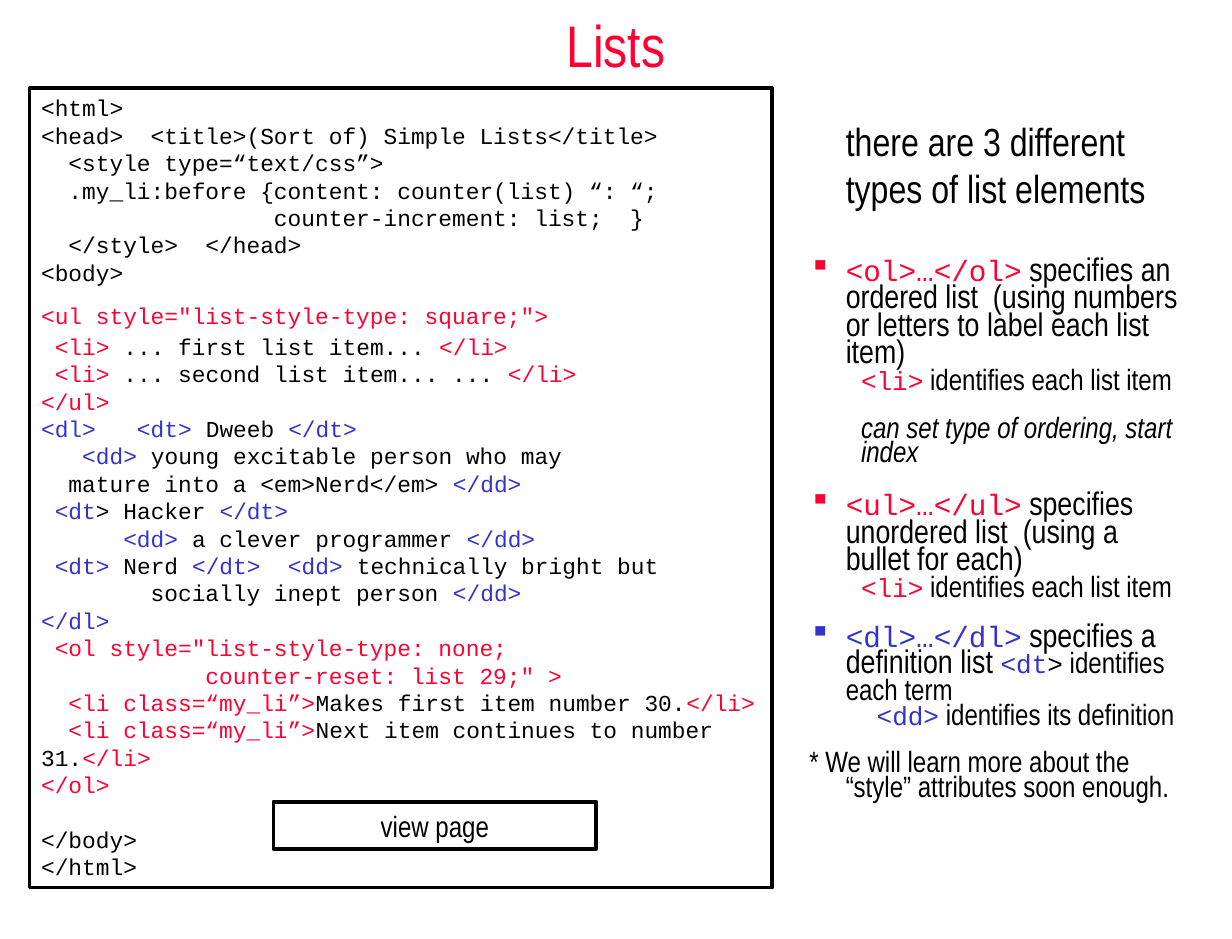
import dataclasses

import pptx
import pptx.dml.color
import pptx.enum.shapes
import pptx.enum.text
import pptx.oxml.ns
import pptx.util
from lxml import etree

Cm, Pt = pptx.util.Cm, pptx.util.Pt
RGB = pptx.dml.color.RGBColor.from_string
ALIGN = pptx.enum.text.PP_ALIGN
ANCHOR = pptx.enum.text.MSO_ANCHOR


@dataclasses.dataclass
class Theme:
    black: str = "000000"
    red: str = "FF0033"
    blue: str = "3333CC"
    sans: str = "Arial Narrow"
    mono: str = "Courier New"
    title: int = 36
    lead: int = 24
    item: int = 20
    sub: int = 18
    tag: int = 16
    code: int = 14
    border: float = 2.25


T = Theme()
K, R, B = T.black, T.red, T.blue


def add_box(left, top, width, height, border=False):
    """Add a rectangle with a black border, or a plain text box."""
    if border:
        sp = s.shapes.add_shape(pptx.enum.shapes.MSO_SHAPE.RECTANGLE,
                                Cm(left), Cm(top), Cm(width), Cm(height))
        sp.shadow.inherit = False
        sp.fill.background()
        sp.line.color.rgb = RGB(T.black)
        sp.line.width = Pt(T.border)
    else:
        sp = s.shapes.add_textbox(Cm(left), Cm(top), Cm(width), Cm(height))
    sp.text_frame.word_wrap = True
    sp.text_frame.vertical_anchor = ANCHOR.TOP
    return sp.text_frame


def add_run(p, text, size, font, color, italic=False):
    r = p.add_run()
    r.text = text
    r.font.size = Pt(size)
    r.font.name = font
    r.font.color.rgb = RGB(color)
    r.font.italic = italic


prs = pptx.Presentation()
prs.slide_width, prs.slide_height = Cm(26.67), Cm(20.32)
s = prs.slides.add_slide(prs.slide_layouts[6])

# Title
tf = add_box(0, 0, 26.67, 1.9)
tf.vertical_anchor = ANCHOR.MIDDLE
p = tf.paragraphs[0]
p.alignment = ALIGN.CENTER
add_run(p, "Lists", T.title, T.sans, R)

# Explanation: space before, line pitch, left margin, first-line indent, bullet colour, runs
lead, item, sub, tag = (T.lead, T.sans), (T.item, T.sans), (T.sub, T.sans), (T.tag, T.mono)
head = (T.sub, T.mono)
li_note = (1.3, 15.1, 1.45, 0, None,
           [("<li>", *tag, R), (" identifies each list item", *sub, K)])
notes = [
    (0, 28.8, 1.12, 0, None, [("there are 3 different types of list elements", *lead, K)]),
    (30, 16.8, 1.12, -0.79, R, [
        ("<ol>…</ol>", *head, R),
        (" specifies an ordered list  (using numbers or letters to label each list item)",
         *item, K)]),
    li_note,
    (14, 15.1, 1.45, 0, None, [("can set type of ordering, start index", *sub, K, True)]),
    (16, 16.8, 1.12, -0.79, R, [
        ("<ul>…</ul>", *head, R),
        (" specifies unordered list  (using a bullet for each)", *item, K)]),
    li_note,
    (15, 16, 1.12, -0.79, B, [
        ("<dl>…</dl>", *head, B), (" specifies a definition list ", *item, K),
        ("<dt", *tag, B), (">", *tag, K), (" identifies each term", *sub, K)]),
    (0, 15.1, 1.79, 0, None, [("<dd>", *tag, B), (" identifies its definition", *sub, K)]),
    (14, 15.1, 1.12, -0.79, None,
     [("* We will learn more about the “style” attributes soon enough.", *sub, K)]),
]
tf = add_box(16.94, 2.42, 8.89, 15.8)
for i, (before, pitch, margin, indent, bullet, runs) in enumerate(notes):
    p = tf.add_paragraph() if i else tf.paragraphs[0]
    p.space_before, p.line_spacing = Pt(before), Pt(pitch)
    pPr = p._p.get_or_add_pPr()
    pPr.set("marL", str(Cm(margin)))
    pPr.set("indent", str(Cm(indent)))
    if bullet:
        clr = etree.SubElement(pPr, pptx.oxml.ns.qn("a:buClr"))
        etree.SubElement(clr, pptx.oxml.ns.qn("a:srgbClr"), val=bullet)
        etree.SubElement(pPr, pptx.oxml.ns.qn("a:buChar"), char="▪")
    for run in runs:
        add_run(p, *run)

# Code listing: one list of (colour, text) runs per line
code = [
    [(K, "<html>")],
    [(K, "<head>  <title>(Sort of) Simple Lists</title>")],
    [(K, "  <style type=“text/css”>")],
    [(K, "  .my_li:before {content: counter(list) “: “;")],
    [(K, "                 counter-increment: list;  }")],
    [(K, "  </style>  </head>")],
    [(K, "<body>")],
    [(R, '<ul style="list-style-type: square;">')],
    [(R, " <li>"), (K, " ... first list item... "), (R, "</li>")],
    [(R, " <li>"), (K, " ... second list item... ... "), (R, "</li>")],
    [(R, "</ul>")],
    [(B, "<dl>   <dt>"), (K, " Dweeb "), (B, "</dt>")],
    [(B, "   <dd>"), (K, " young excitable person who may")],
    [(K, "  mature into a <em>Nerd</em> "), (B, "</dd>")],
    [(B, " <dt"), (K, "> Hacker "), (B, "</dt>")],
    [(B, "      <dd>"), (K, " a clever programmer "), (B, "</dd>")],
    [(B, " <dt>"), (K, " Nerd "), (B, "</dt>  <dd>"), (K, " technically bright but")],
    [(K, "        socially inept person "), (B, "</dd>")],
    [(B, "</dl>")],
    [(R, ' <ol style="list-style-type: none;')],
    [(R, '            counter-reset: list 29;" >')],
    [(R, "  <li class=“my_li”>"), (K, "Makes first item number 30."), (R, "</li>")],
    [(R, "  <li class=“my_li”>"), (K, "Next item continues to number 31."), (R, "</li>")],
    [(R, "</ol>")],
    [(K, "</body>")],
    [(K, "</html>")],
]
gaps = {"<ul style": 9.6, " <li> ... first": 2.2, "</body>": 16.8}
tf = add_box(0.64, 1.91, 16.08, 17.3, border=True)
for i, line in enumerate(code):
    p = tf.add_paragraph() if i else tf.paragraphs[0]
    p.alignment = ALIGN.LEFT
    p.line_spacing = Pt(16.8)
    text = "".join(part for _, part in line)
    p.space_before = Pt(sum(gap for start, gap in gaps.items() if text.startswith(start)))
    for color, part in line:
        add_run(p, part, T.code, T.mono, color)

# Button
tf = add_box(5.92, 17.35, 6.99, 1.02, border=True)
tf.vertical_anchor = ANCHOR.MIDDLE
p = tf.paragraphs[0]
p.alignment = ALIGN.CENTER
add_run(p, "view page", T.sub, T.sans, K)

prs.save("out.pptx")
